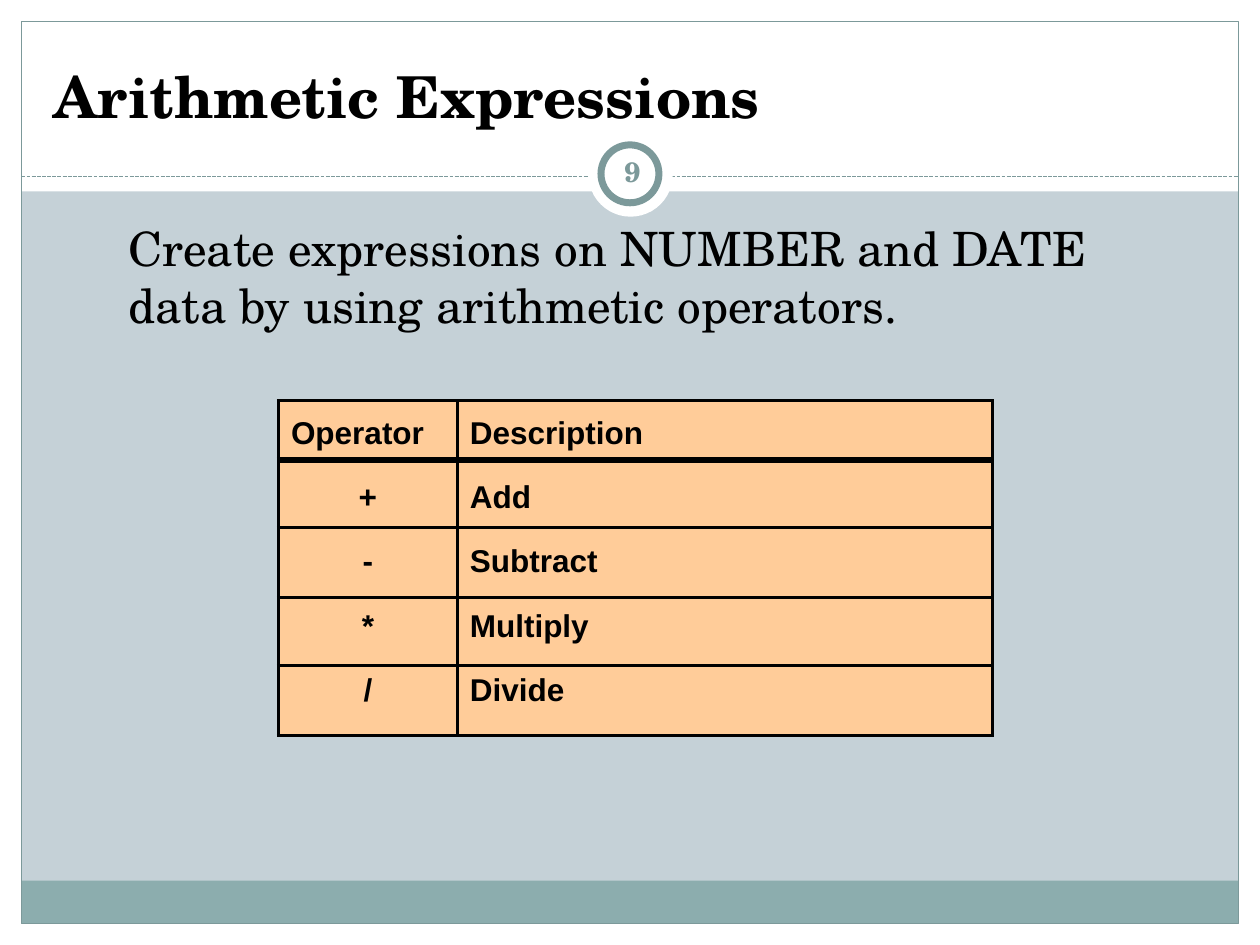
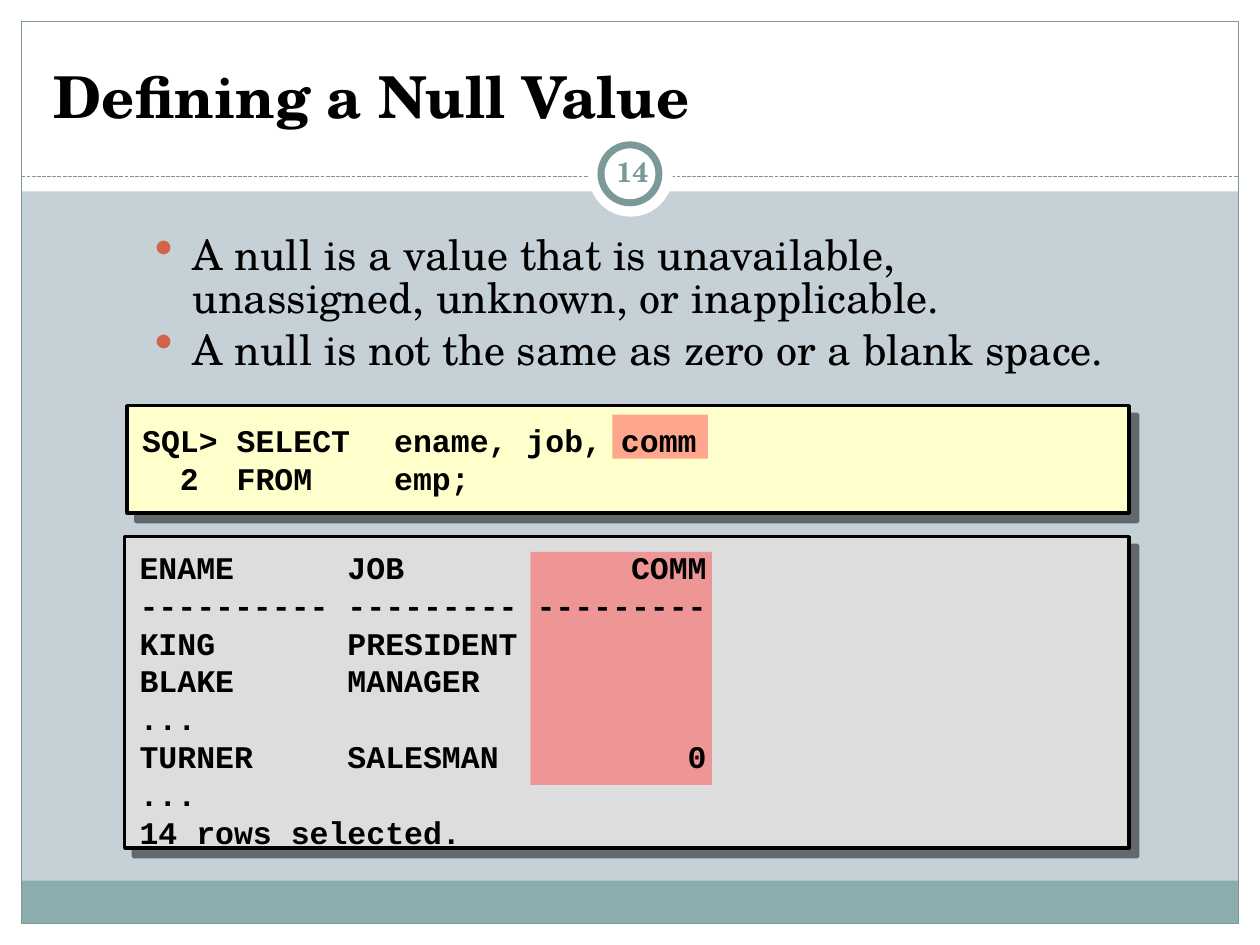
from dataclasses import dataclass
from itertools import accumulate

from lxml.etree import SubElement
from pptx import Presentation
from pptx.dml.color import RGBColor
from pptx.enum.dml import MSO_LINE
from pptx.enum.shapes import MSO_CONNECTOR, MSO_SHAPE as Preset
from pptx.enum.text import MSO_ANCHOR as Anchor, PP_ALIGN as Align
from pptx.oxml.ns import qn
from pptx.util import Inches, Pt


@dataclass(frozen=True)
class Theme:
    """Colours, fonts and type sizes."""
    background: str = "C5D1D7"
    white: str = "FFFFFF"
    black: str = "000000"
    band: str = "8CADAE"
    frame: str = "7C999A"
    bullet: str = "D16349"
    table: str = "FFCC99"
    query: str = "FFFFCC"
    result: str = "DDDDDD"
    highlight: str = "FF5050"
    serif: str = "TeX Gyre Schola"
    sans: str = "Arial"
    mono: str = "Courier New"
    title_size: int = 33
    lead_size: int = 27
    bullet_size: int = 24
    detail_size: int = 18
    number_size: int = 16


@dataclass(frozen=True)
class Box:
    """A rectangle in inches."""
    left: float
    top: float
    width: float
    height: float

    def inside(self, left, top, width, height):
        """Return a box placed relative to this one."""
        return Box(self.left + left, self.top + top, width, height)

    def lengths(self):
        """Return left, top, width and height as lengths."""
        return [Inches(value) for value in (self.left, self.top, self.width, self.height)]


THEME = Theme()
PAGE = Box(0, 0, 10, 7.5)
EDGE = 0.17


def rgb(color):
    """Turn a hex string into a colour."""
    return RGBColor.from_string(color)


def add_panel(slide, box, fill=None, line=None, line_width=2, preset=Preset.RECTANGLE):
    """Add a preset shape without shadow."""
    shape = slide.shapes.add_shape(preset, *box.lengths())
    shape.shadow.inherit = False
    if fill:
        shape.fill.solid()
        shape.fill.fore_color.rgb = rgb(fill)
    else:
        shape.fill.background()
    if line:
        shape.line.color.rgb = rgb(line)
        shape.line.width = Pt(line_width)
    else:
        shape.line.fill.background()
    return shape


def style_runs(text_frame, font, size, color=THEME.black, bold=False):
    """Format every run in a text frame."""
    for paragraph in text_frame.paragraphs:
        for run in paragraph.runs:
            run.font.name = font
            run.font.size = Pt(size)
            run.font.color.rgb = rgb(color)
            run.font.bold = bold


def add_text(slide, box, text, font, size, color=THEME.black, bold=False, anchor=Anchor.TOP):
    """Add a wrapped text box and return its text frame."""
    text_frame = slide.shapes.add_textbox(*box.lengths()).text_frame
    text_frame.word_wrap = True
    text_frame.vertical_anchor = anchor
    text_frame.text = text
    style_runs(text_frame, font, size, color, bold)
    return text_frame


def add_dashed_rule(slide, left, right, top):
    """Draw the dashed line under the title."""
    rule = slide.shapes.add_connector(
        MSO_CONNECTOR.STRAIGHT, Inches(left), Inches(top), Inches(right), Inches(top))
    rule.line.color.rgb = rgb(THEME.frame)
    rule.line.width = Pt(0.75)
    rule.line.dash_style = MSO_LINE.SQUARE_DOT
    SubElement(rule._element.spPr, qn("a:effectLst"))


def add_number_badge(slide, box, number):
    """Draw the ringed slide number."""
    add_panel(slide, box, THEME.white, preset=Preset.OVAL)
    add_panel(slide, box.inside(0.1, 0.1, 0.46, 0.46), THEME.white, THEME.frame, 4, Preset.OVAL)
    text_frame = add_text(slide, box.inside(0.1, 0.07, 0.5, 0.48), str(number), THEME.serif,
                          THEME.number_size, THEME.frame, True, Anchor.MIDDLE)
    text_frame.margin_left = text_frame.margin_right = Inches(0.05)
    text_frame.paragraphs[0].alignment = Align.CENTER


def add_base_slide(presentation, title, number):
    """Add a slide with background, frame, bands, title and number."""
    slide = presentation.slides.add_slide(presentation.slide_layouts[6])
    slide.background.fill.solid()
    slide.background.fill.fore_color.rgb = rgb(THEME.background)
    right, bottom = PAGE.width - EDGE, PAGE.height - EDGE
    for margin in (Box(0, bottom, PAGE.width, EDGE), Box(0, 0, PAGE.width, 1.52),
                   Box(0, 0, EDGE, PAGE.height), Box(right, 0, EDGE, PAGE.height)):
        add_panel(slide, margin, THEME.white)
    add_panel(slide, Box(EDGE, bottom - 0.34, right - EDGE, 0.34), THEME.band)
    add_panel(slide, Box(EDGE, EDGE, right - EDGE, bottom - EDGE), None, THEME.frame, 0.75)
    add_dashed_rule(slide, EDGE, right, 1.4)
    add_number_badge(slide, Box(4.67, 1.05, 0.67, 0.67), number)
    add_text(slide, Box(0.33, 0.25, 9.33, 0.83), title, THEME.serif, THEME.title_size,
             bold=True, anchor=Anchor.BOTTOM)
    return slide


def set_borders(cell, top, bottom):
    """Give a cell black borders, with its own top and bottom widths."""
    properties = cell._tc.get_or_add_tcPr()
    for side, width in (("L", 2), ("R", 2), ("T", top), ("B", bottom)):
        border = SubElement(properties, qn(f"a:ln{side}"), w=str(Pt(width)))
        fill = SubElement(border, qn("a:solidFill"))
        SubElement(fill, qn("a:srgbClr"), val=THEME.black)


def add_operator_table(slide, box, rows):
    """Add the operator table, its text lines evenly spaced down the box."""
    heights = [0.47, 0.54, 0.55, 0.54, 0.56]
    row_tops = accumulate(heights, initial=0)
    table = slide.shapes.add_table(len(rows), 2, *box.lengths()).table
    table.first_row = table.horz_banding = False
    table.columns[0].width = Inches(1.42)
    table.columns[1].width = Inches(box.width - 1.42)
    for index, (texts, height, row_top) in enumerate(zip(rows, heights, row_tops)):
        table.rows[index].height = Inches(height)
        for column, text in enumerate(texts):
            cell = table.cell(index, column)
            set_borders(cell, 4 if index == 1 else 2, 4 if index == 0 else 2)
            cell.fill.solid()
            cell.fill.fore_color.rgb = rgb(THEME.table)
            cell.margin_top = Inches(0.12 + 0.51 * index - row_top)
            cell.margin_bottom = 0
            cell.text_frame.text = text
            style_runs(cell.text_frame, THEME.sans, THEME.detail_size, bold=True)
            if index and column == 0:
                cell.text_frame.paragraphs[0].alignment = Align.CENTER


def add_bullets(slide, box, items):
    """Add the bulleted statements."""
    text_frame = add_text(slide, box, "\n".join(items), THEME.serif, THEME.bullet_size)
    for index, paragraph in enumerate(text_frame.paragraphs):
        paragraph.line_spacing = 0.85
        paragraph.space_before = Pt(4.8 if index else 0)
        properties = paragraph._p.get_or_add_pPr()
        properties.set("marL", str(Inches(0.6)))
        properties.set("indent", str(Inches(-0.3)))
        color = SubElement(properties, qn("a:buClr"))
        SubElement(color, qn("a:srgbClr"), val=THEME.bullet)
        SubElement(properties, qn("a:buSzPct"), val="125000")
        SubElement(properties, qn("a:buChar"), char="•")


def add_alpha(color, percent):
    """Make an XML colour partly transparent."""
    SubElement(color, qn("a:alpha"), val=str(percent * 1000))


def add_drop_shadow(shape):
    """Cast a hard half-transparent shadow to the lower right."""
    effects = shape._element.spPr.find(qn("a:effectLst"))
    shadow = SubElement(effects, qn("a:outerShdw"), dist=str(Pt(7.1)), dir="2700000",
                        algn="ctr", rotWithShape="0")
    add_alpha(SubElement(shadow, qn("a:srgbClr"), val=THEME.black), 50)


def add_code_panel(slide, box, fill, highlight, text_top, lines):
    """Add a shadowed code panel with one highlighted area."""
    add_drop_shadow(add_panel(slide, box, fill, THEME.black))
    marker = add_panel(slide, box.inside(*highlight), THEME.highlight)
    add_alpha(marker._element.spPr.find(f"{qn('a:solidFill')}/{qn('a:srgbClr')}"), 50)
    text_frame = add_text(slide, box.inside(0.02, text_top, box.width, box.height - text_top),
                          "\n".join(lines), THEME.mono, THEME.detail_size, bold=True)
    for paragraph in text_frame.paragraphs:
        if "\t" in paragraph.text:
            tabs = SubElement(paragraph._p.get_or_add_pPr(), qn("a:tabLst"))
            SubElement(tabs, qn("a:tab"), pos=str(Inches(2)), algn="l")


def add_arithmetic_slide(presentation):
    """Build the slide on arithmetic operators."""
    slide = add_base_slide(presentation, "Arithmetic Expressions", 9)
    add_text(slide, Box(0.92, 1.69, 8.6, 0.99),
             "Create expressions on NUMBER and DATE data by using arithmetic operators.",
             THEME.serif, THEME.lead_size)
    add_operator_table(slide, Box(2.21, 3.18, 5.67, 2.66), [
        ("Operator", "Description"),
        ("+", "Add"),
        ("-", "Subtract"),
        ("*", "Multiply"),
        ("/", "Divide"),
    ])


def add_null_slide(presentation):
    """Build the slide on null values."""
    slide = add_base_slide(presentation, "Defining a Null Value", 14)
    add_bullets(slide, Box(0.83, 1.83, 8.08, 1.3), [
        "A null is a value that is unavailable, unassigned, unknown, or inapplicable.",
        "A null is not the same as zero or a blank space.",
    ])
    add_code_panel(slide, Box(1.01, 3.22, 7.95, 0.85), THEME.query, (3.85, 0.07, 0.76, 0.35), 0.07, [
        "SQL> SELECT\tename, job, comm",
        "  2  FROM\temp;",
    ])
    add_code_panel(slide, Box(0.99, 4.26, 7.97, 2.47), THEME.result, (3.22, 0.12, 1.44, 1.85), 0.04, [
        "ENAME      JOB            COMM",
        "---------- --------- ---------",
        "KING       PRESIDENT",
        "BLAKE      MANAGER",
        "...",
        "TURNER     SALESMAN          0",
        "...",
        "14 rows selected.",
    ])


def main():
    """Build and save the presentation."""
    presentation = Presentation()
    presentation.slide_width = Inches(PAGE.width)
    presentation.slide_height = Inches(PAGE.height)
    add_arithmetic_slide(presentation)
    add_null_slide(presentation)
    presentation.save("out.pptx")


if __name__ == "__main__":
    main()
